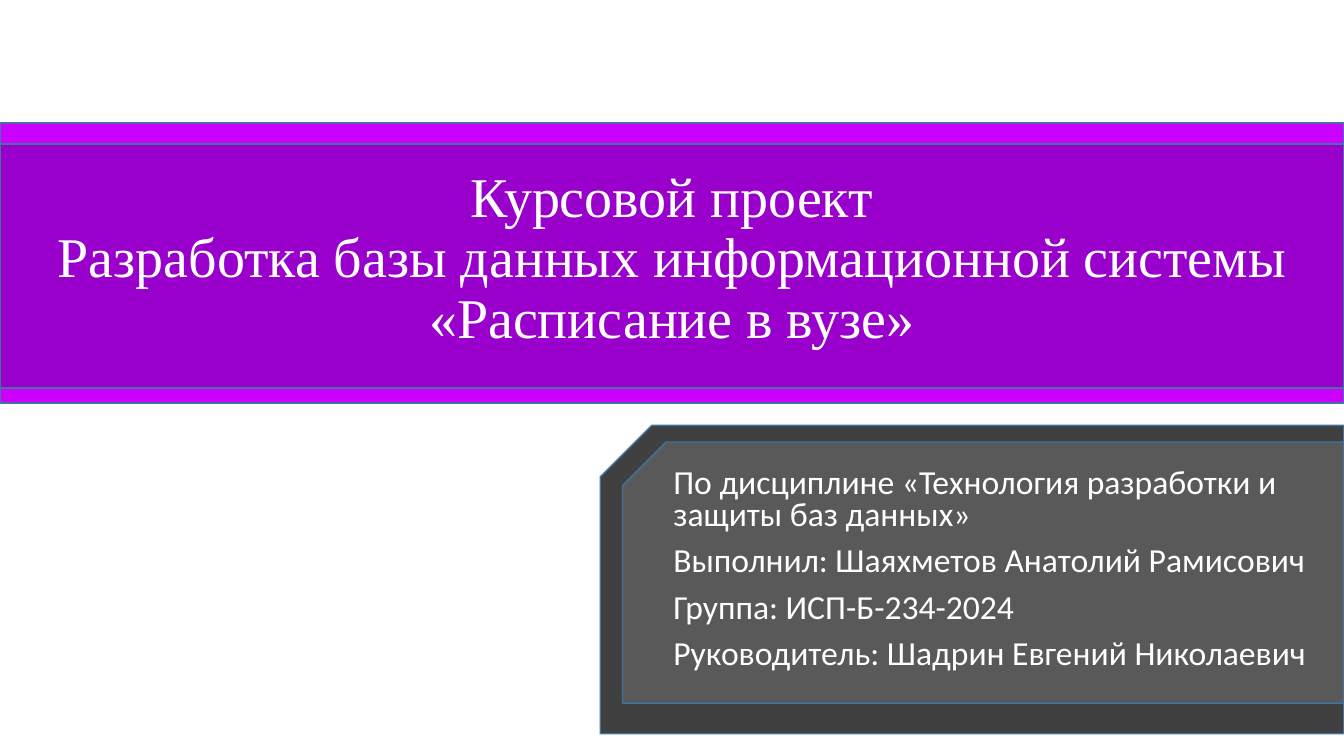
from dataclasses import dataclass

from pptx import Presentation, util as u
from pptx.dml.color import RGBColor
from pptx.enum import shapes, text


@dataclass(frozen=True)
class Theme:
    bright_band: str = "CC00FF"
    dark_band: str = "9900CC"
    outer_panel: str = "404040"
    inner_panel: str = "595959"
    outline: str = "43739E"
    text_color: str = "FFFFFF"
    title_font: str = "Times New Roman"
    title_size: int = 40
    details_font: str = "Calibri"
    details_size: int = 24


def apply_format(target, values):
    for name, value in values.items():
        setattr(target, name, value)


class SlideBuilder:
    def __init__(self, slide, theme):
        self.slide = slide
        self.theme = theme

    def add_panel(self, kind, box, color, flipped=False):
        shape = self.slide.shapes.add_shape(kind, *map(u.Cm, box))
        shape.shadow.inherit = False
        shape.fill.solid()
        shape.fill.fore_color.rgb = RGBColor.from_string(color)
        shape.line.color.rgb = RGBColor.from_string(self.theme.outline)
        shape.line.width = u.Pt(1)
        if flipped:
            shape._element.spPr.get_or_add_xfrm().set("flipH", "1")

    def add_text(self, box, lines, font, size, anchor, paragraph_format):
        frame = self.slide.shapes.add_textbox(*map(u.Cm, box)).text_frame
        apply_format(frame, {"word_wrap": True, "vertical_anchor": anchor})
        for index, line in enumerate(lines):
            paragraph = frame.add_paragraph() if index else frame.paragraphs[0]
            paragraph.text = line
            apply_format(paragraph, paragraph_format)
            for run in paragraph.runs:
                apply_format(run.font, {"name": font, "size": u.Pt(size)})
                run.font.color.rgb = RGBColor.from_string(self.theme.text_color)


def main():
    width, height = 33.87, 19.05
    presentation = Presentation()
    apply_format(presentation, {"slide_width": u.Cm(width), "slide_height": u.Cm(height)})
    slide = presentation.slides.add_slide(presentation.slide_layouts[6])
    theme = Theme()
    builder = SlideBuilder(slide, theme)
    rectangle = shapes.MSO_SHAPE.RECTANGLE
    snipped = shapes.MSO_SHAPE.SNIP_1_RECTANGLE

    # Title bands and details panels
    builder.add_panel(rectangle, (0, 3.1, width, 7.06), theme.bright_band)
    builder.add_panel(snipped, (15.13, 10.72, 18.74, 7.77), theme.outer_panel, flipped=True)
    builder.add_panel(snipped, (15.69, 11.14, 18.18, 6.58), theme.inner_panel, flipped=True)
    builder.add_panel(rectangle, (0, 3.63, width, 6.15), theme.dark_band)

    # Title
    builder.add_text(
        (0, 3.94, width, 5.21),
        ["Курсовой проект\vРазработка базы данных информационной системы «Расписание в вузе»"],
        theme.title_font, theme.title_size, text.MSO_ANCHOR.MIDDLE,
        {"alignment": text.PP_ALIGN.CENTER, "line_spacing": 0.9},
    )

    # Course, author, group and supervisor
    builder.add_text(
        (16.72, 11.68, 17.15, 5.79),
        [
            "По дисциплине «Технология разработки и защиты баз данных»",
            "Выполнил: Шаяхметов Анатолий Рамисович",
            "Группа: ИСП-Б-234-2024",
            "Руководитель: Шадрин Евгений Николаевич",
        ],
        theme.details_font, theme.details_size, text.MSO_ANCHOR.TOP,
        {"alignment": text.PP_ALIGN.LEFT, "line_spacing": 0.8, "space_before": u.Pt(10)},
    )

    presentation.save("out.pptx")


if __name__ == "__main__":
    main()
